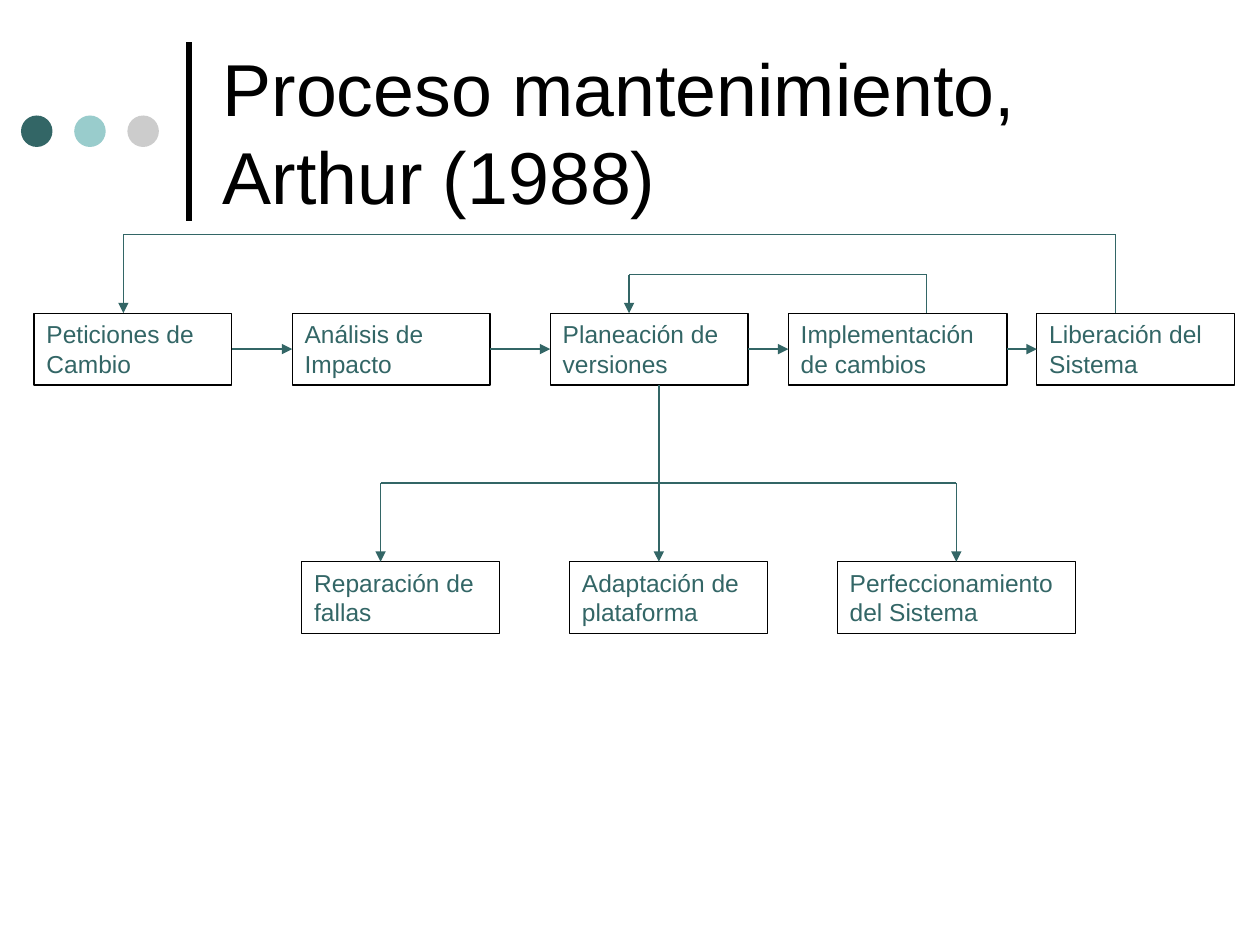
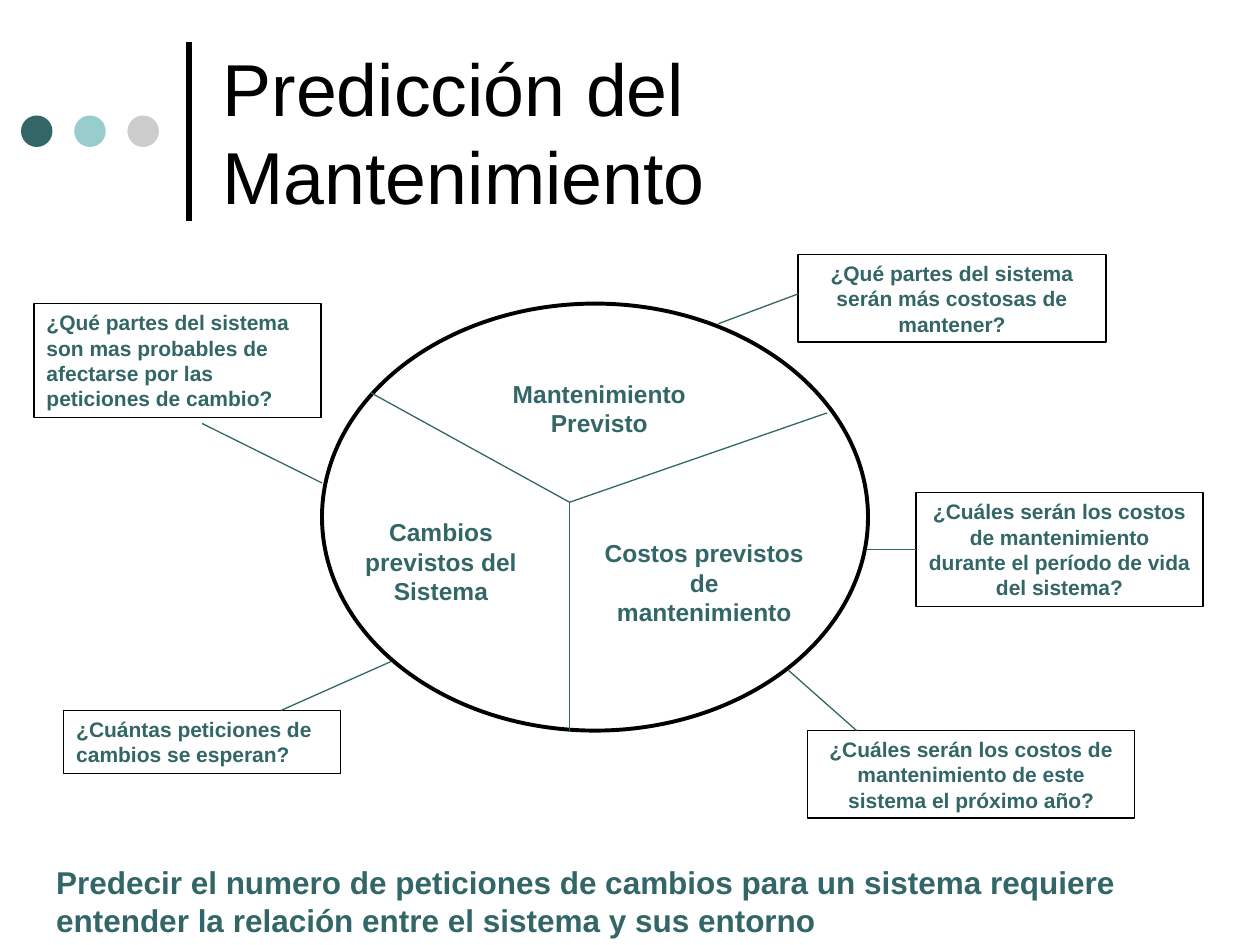
from lxml import etree
from pptx import Presentation
from pptx.dml.color import RGBColor
from pptx.enum.shapes import MSO_CONNECTOR, MSO_SHAPE
from pptx.enum.text import MSO_ANCHOR, MSO_AUTO_SIZE, PP_ALIGN
from pptx.oxml.ns import qn
from pptx.util import Pt

STRAIGHT = MSO_CONNECTOR.STRAIGHT
RECTANGLE, OVAL = MSO_SHAPE.RECTANGLE, MSO_SHAPE.OVAL
LEFT, CENTER = PP_ALIGN.LEFT, PP_ALIGN.CENTER
TOP, MIDDLE = MSO_ANCHOR.TOP, MSO_ANCHOR.MIDDLE
SIDE_LEFT, SIDE_RIGHT = 1, 3
TITLE_ONLY = 5

FONT = "Arial"
BLACK, TEAL, AQUA, GRAY = "000000", "336666", "99CCCC", "CCCCCC"


def color(hex_text):
    return RGBColor.from_string(hex_text)


def write(shape, text, size, ink=TEAL, bold=False, align=LEFT, anchor=TOP):
    frame = shape.text_frame
    frame.text = text
    frame.word_wrap = True
    frame.auto_size = MSO_AUTO_SIZE.NONE
    frame.vertical_anchor = anchor
    para = frame.paragraphs[0]
    para.alignment = align
    for span in para.runs:
        span.font.name = FONT
        span.font.size = Pt(size)
        span.font.bold = bold
        span.font.color.rgb = color(ink)


def add_figure(page, kind, box, fill=None, line_width=None):
    """Add a preset shape with an optional fill and an optional black outline."""
    shape = page.shapes.add_shape(kind, *map(Pt, box))
    shape.shadow.inherit = False
    if fill:
        shape.fill.solid()
        shape.fill.fore_color.rgb = color(fill)
    else:
        shape.fill.background()
    if line_width:
        shape.line.color.rgb = color(BLACK)
        shape.line.width = Pt(line_width)
    else:
        shape.line.fill.background()
    return shape


def add_box(page, box, text, size, **style):
    shape = add_figure(page, RECTANGLE, box, line_width=0.75)
    write(shape, text, size, **style)
    return shape


def add_label(page, box, text, size, **style):
    label = page.shapes.add_textbox(*map(Pt, box))
    write(label, text, size, **style)


def add_line(page, start, end, arrow=False, ink=TEAL, width=0.75):
    line = page.shapes.add_connector(STRAIGHT, *map(Pt, (*start, *end)))
    line.line.color.rgb = color(ink)
    line.line.width = Pt(width)
    if arrow:
        etree.SubElement(line.line._get_or_add_ln(), qn("a:tailEnd"), type="triangle")
    etree.SubElement(line._element.spPr, qn("a:effectLst"))
    return line


def add_path(page, points):
    """Draw straight segments through the points, with an arrowhead on the last."""
    last = len(points) - 2
    for index, (start, end) in enumerate(zip(points, points[1:])):
        add_line(page, start, end, arrow=index == last)


def add_page(deck, title):
    page = deck.slides.add_slide(deck.slide_layouts[TITLE_ONLY])
    add_line(page, (108, 126), (108, 24), ink=BLACK, width=3)
    for index, fill in enumerate((TEAL, AQUA, GRAY)):
        add_figure(page, OVAL, (12 + 30.4 * index, 66, 18, 18), fill=fill)
    heading = page.shapes.title
    heading.left, heading.top, heading.width, heading.height = map(Pt, (120, 15, 552, 120))
    write(heading, title, 42, ink=BLACK, anchor=MIDDLE)
    return page


def add_process(page, left, top):
    """Draw the maintenance steps, their feedback loops and the kinds of version."""
    step_top, step_height, branch_top, kind_top = 45, 41, 142, 187

    def at(x, y):
        return left + x, top + y

    steps = [
        (0, 113, "Peticiones de Cambio"),
        (147.5, 113, "Análisis de Impacto"),
        (295, 113, "Planeación de versiones"),
        (431, 125, "Implementación de cambios"),
        (573, 113, "Liberación del Sistema"),
    ]
    boxes = [add_box(page, (*at(x, step_top), width, step_height), text, 14)
             for x, width, text in steps]
    for before, after in zip(boxes, boxes[1:]):
        arrow = add_line(page, (0, 0), (0, 0), arrow=True)
        arrow.begin_connect(before, SIDE_RIGHT)
        arrow.end_connect(after, SIDE_LEFT)

    for source, target, loop_top in ((618, 51, 0), (510, 340, 23)):
        add_path(page, [at(source, step_top), at(source, loop_top),
                        at(target, loop_top), at(target, step_top)])

    kinds = [
        (113, 198, "Reparación de fallas"),
        (113, 357, "Adaptación de plataforma"),
        (136, 527, "Perfeccionamiento del Sistema"),
    ]
    for index, (width, arrow_x, text) in enumerate(kinds):
        add_box(page, (*at(153 * (index + 1), kind_top), width, step_height), text, 14)
        arrow_top = step_top + step_height if index == 1 else branch_top
        add_line(page, at(arrow_x, arrow_top), at(arrow_x, kind_top), arrow=True)
    add_line(page, at(kinds[0][1], branch_top), at(kinds[-1][1], branch_top))


def add_forecast(page, left, top):
    """Draw the ellipse in three parts and the questions around it."""
    def at(x, y):
        return left + x, top + y

    parts = [
        (255, 68, 136, 41, "Mantenimiento Previsto"),
        (176, 147, 113, 58, "Cambios previstos del Sistema"),
        (318, 159, 130, 58, "Costos previstos de mantenimiento"),
    ]
    for x, y, width, height, text in parts:
        add_label(page, (*at(x, y), width, height), text, 14, bold=True, align=CENTER)

    add_figure(page, OVAL, (*at(164.5, 28.5), 312, 244), line_width=2.25)
    for rim in ((306, 272.5), (192.5, 79.5), (453, 91)):
        add_line(page, at(306, 142), at(*rim))

    # Box, alignment, pointer start, pointer end, joined side, text
    questions = [
        ((0, 28.5, 164, 65), LEFT, (96, 97), (164.5, 131), None,
         "¿Qué partes del sistema son mas probables de afectarse por las peticiones de cambio?"),
        ((17, 261, 158, 36), LEFT, (141, 261), (204, 233), None,
         "¿Cuántas peticiones de cambios se esperan?"),
        ((436.5, 0.5, 176, 50), CENTER, (436.5, 23), (391, 40), None,
         "¿Qué partes del sistema serán más costosas de mantener?"),
        ((504, 136.5, 164, 65), CENTER, (504, 169), (476, 169), SIDE_LEFT,
         "¿Cuáles serán los costos de mantenimiento durante el período de vida del sistema?"),
        ((442, 272.5, 187, 50), CENTER, (470, 272.5), (431, 238), None,
         "¿Cuáles serán los costos de mantenimiento de este sistema el próximo año?"),
    ]
    for (x, y, width, height), align, start, end, side, text in questions:
        question = add_box(page, (*at(x, y), width, height), text, 12, bold=True, align=align)
        pointer = add_line(page, at(*start), at(*end))
        if side is not None:
            pointer.begin_connect(question, side)


def main():
    deck = Presentation()
    deck.slide_width, deck.slide_height = Pt(720), Pt(540)

    process_page = add_page(deck, "Proceso mantenimiento, Arthur (1988)")
    add_process(process_page, 19.5, 134)

    forecast_page = add_page(deck, "Predicción del Mantenimiento")
    add_forecast(forecast_page, 19.5, 145)
    add_label(forecast_page, (25, 489.5, 657, 50),
              "Predecir el numero de peticiones de cambios para un sistema requiere "
              "entender la relación entre el sistema y sus entorno", 18, bold=True)

    deck.save("out.pptx")


if __name__ == "__main__":
    main()
